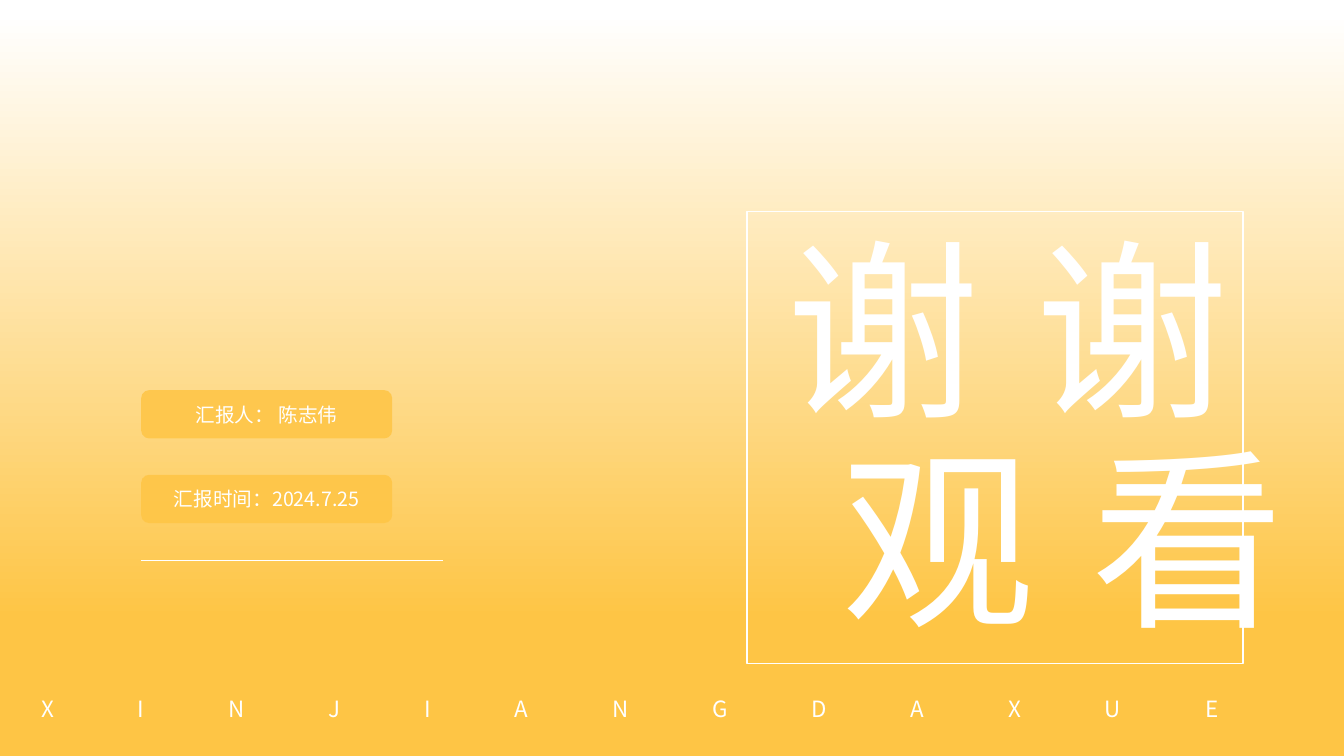
import pptx
import pptx.util
import pptx.dml.color
import pptx.enum.dml
import pptx.enum.shapes
import pptx.enum.text
import pptx.oxml
import pptx.oxml.ns
from dataclasses import dataclass

Inches = pptx.util.Inches
Align = pptx.enum.text.PP_ALIGN
Anchor = pptx.enum.text.MSO_ANCHOR
Shape = pptx.enum.shapes.MSO_SHAPE


@dataclass(frozen=True)
class Theme:
    white: str = "FFFFFF"
    yellow: str = "FEC545"
    display_font: str = "Noto Sans CJK JP"
    label_font: str = "Noto Sans CJK SC"
    title_size: float = 138
    footer_size: float = 16
    label_size: float = 14


THEME = Theme()


def rgb(value):
    return pptx.dml.color.RGBColor.from_string(value)


def write_text(shape, text, size, font_name, spacing=0, frame_format=None, paragraph_format=None):
    """Fill a shape with one white run; spacing is in points."""
    frame = shape.text_frame
    for name, value in {"word_wrap": True, **(frame_format or {})}.items():
        setattr(frame, name, value)
    paragraph = frame.paragraphs[0]
    for name, value in (paragraph_format or {}).items():
        setattr(paragraph, name, value)
    run = paragraph.add_run()
    run.text = text
    for name, value in {"size": pptx.util.Pt(size), "name": font_name, "bold": False}.items():
        setattr(run.font, name, value)
    run.font.color.rgb = rgb(THEME.white)
    properties = run.font._element
    if spacing:
        properties.set("spc", str(spacing * 100))
    # East Asian typeface follows the Latin one
    east_asian = pptx.oxml.parse_xml(
        f'<a:ea {pptx.oxml.ns.nsdecls("a")} typeface="{font_name}"/>')
    properties.find(pptx.oxml.ns.qn("a:latin")).addnext(east_asian)


def add_box(slide, kind, left, top, width, height):
    shape = slide.shapes.add_shape(kind, *map(Inches, (left, top, width, height)))
    shape.shadow.inherit = False
    shape.line.fill.background()
    return shape


def add_backdrop(slide, left, top, width, height):
    fill = add_box(slide, Shape.RECTANGLE, left, top, width, height).fill
    fill.gradient()
    fill.gradient_angle = 270
    for stop, position, color in zip(fill.gradient_stops, (0, 0.8), (THEME.white, THEME.yellow)):
        stop.position = position
        stop.color.rgb = rgb(color)


def add_frame(slide, left, top, width, height):
    frame = add_box(slide, Shape.RECTANGLE, left, top, width, height)
    frame.fill.background()
    frame.line.color.rgb = rgb(THEME.white)
    frame.line.width = pptx.util.Pt(1)


def add_footer(slide, left, top, width, height):
    footer = slide.shapes.add_textbox(*map(Inches, (left, top, width, height)))
    write_text(footer, "XINJIANGDAXUE", THEME.footer_size, THEME.display_font, spacing=60,
               frame_format={"auto_size": pptx.enum.text.MSO_AUTO_SIZE.SHAPE_TO_FIT_TEXT})


def add_presenter(slide, left, top, width, height):
    """Two label pills above a thin rule as wide as the box."""
    rule = slide.shapes.add_connector(
        pptx.enum.shapes.MSO_CONNECTOR.STRAIGHT,
        *map(Inches, (left, top + height, left + width, top + height)))
    rule.line.color.rgb = rgb(THEME.white)
    rule.line.width = pptx.util.Pt(0.5)
    rule._element.spPr.append(
        pptx.oxml.parse_xml(f'<a:effectLst {pptx.oxml.ns.nsdecls("a")}/>'))

    for index, text in enumerate(("汇报人： 陈志伟", "汇报时间：2024.7.25")):
        pill = add_box(slide, Shape.ROUNDED_RECTANGLE, left, top + index * 0.84, 2.49, 0.48)
        pill.fill.solid()
        pill.fill.fore_color.rgb = rgb(THEME.yellow)
        color = pill._element.spPr.find(".//" + pptx.oxml.ns.qn("a:srgbClr"))
        color.append(pptx.oxml.parse_xml(
            f'<a:alpha {pptx.oxml.ns.nsdecls("a")} val="86000"/>'))
        write_text(pill, text, THEME.label_size, THEME.label_font,
                   frame_format={"vertical_anchor": Anchor.MIDDLE},
                   paragraph_format={"alignment": Align.CENTER})


def place_title(slide, left, top, width, height):
    title = slide.shapes.title
    for name, value in zip(("left", "top", "width", "height"), (left, top, width, height)):
        setattr(title, name, Inches(value))
    write_text(title, "谢谢观看", THEME.title_size, THEME.display_font, spacing=40,
               frame_format={"vertical_anchor": Anchor.TOP,
                             "auto_size": pptx.enum.text.MSO_AUTO_SIZE.NONE},
               paragraph_format={"alignment": Align.RIGHT, "line_spacing": 0.9,
                                 "space_before": pptx.util.Pt(0)})
    # Bring the title in front of the backdrop
    slide.shapes._spTree.append(title._element)


def build_closing_slide(presentation):
    slide = presentation.slides.add_slide(presentation.slide_layouts[5])
    add_backdrop(slide, 0, 0.13, 13.34, 7.5)
    add_frame(slide, 7.41, 2.1, 4.92, 4.48)
    add_footer(slide, 0.31, 6.85, 12.98, 0.37)
    add_presenter(slide, 1.4, 3.87, 2.99, 1.69)
    place_title(slide, 6.48, 2.3, 6.36, 4.48)


def main():
    presentation = pptx.Presentation()
    presentation.slide_width = Inches(13.33)
    presentation.slide_height = Inches(7.5)
    build_closing_slide(presentation)
    presentation.save("out.pptx")


if __name__ == "__main__":
    main()
